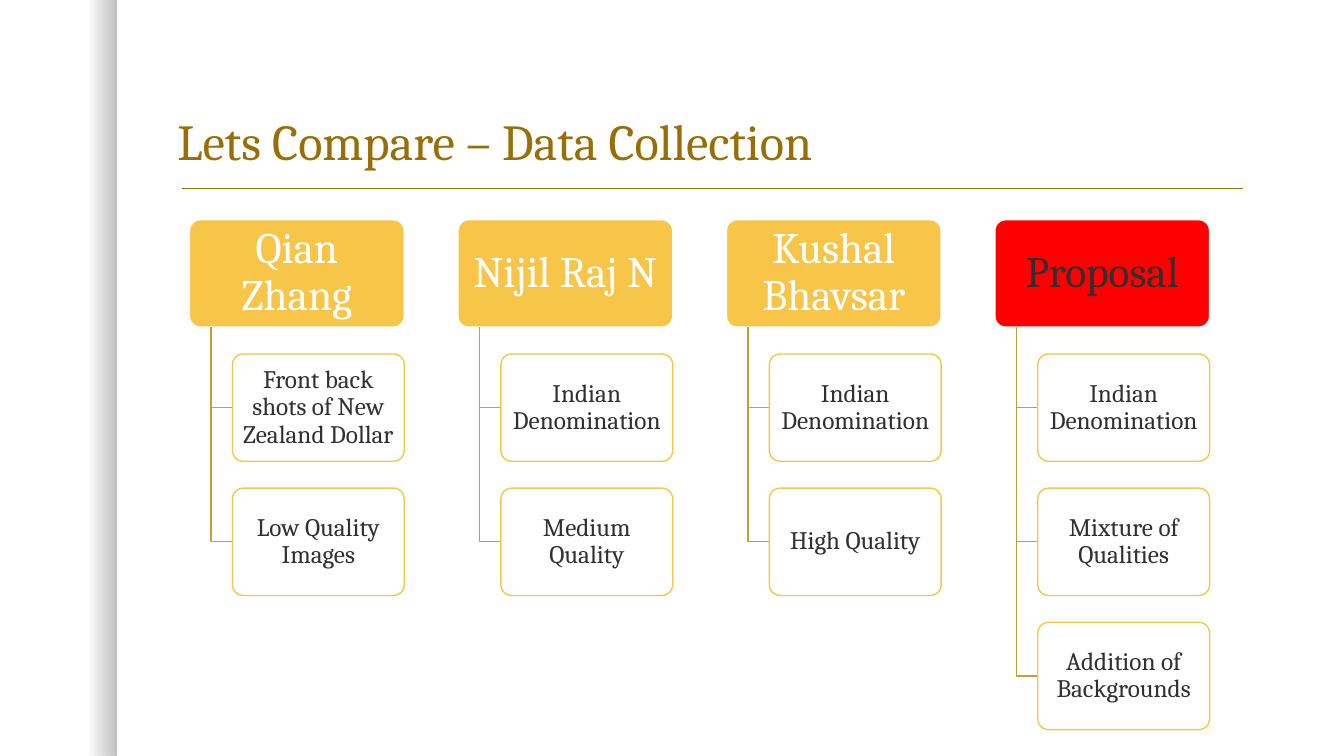
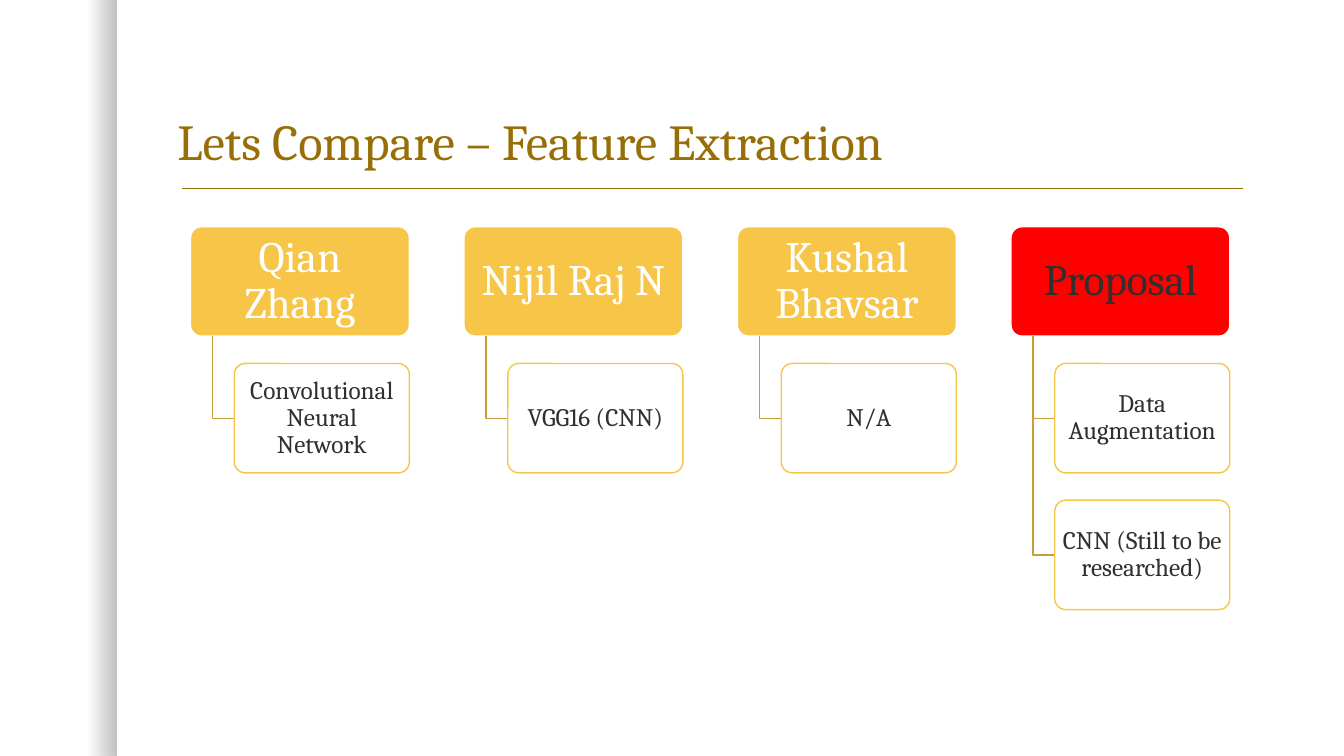
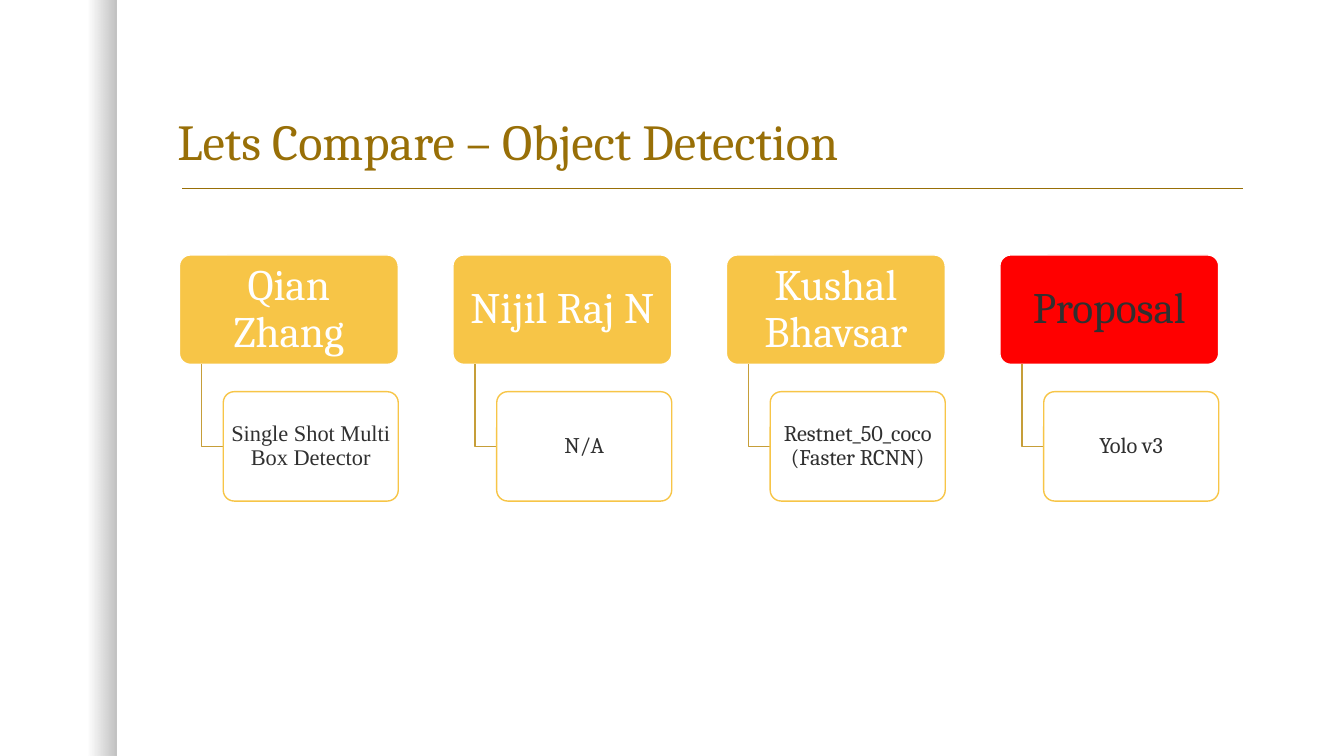
from dataclasses import dataclass

from pptx import Presentation
from pptx.dml.color import RGBColor
from pptx.enum import shapes, text
from pptx.oxml import ns, xmlchemy
from pptx.util import Inches, Pt


@dataclass(frozen=True)
class Theme:
    gold: str = "F7C547"
    dark_gold: str = "986F07"
    branch: str = "C69E39"
    red: str = "FF0000"
    ink: str = "303030"
    white: str = "FFFFFF"
    black: str = "000000"
    font: str = "Cambria"
    title_size: int = 36
    header_size: int = 31
    line_width: int = 1
    leading: float = 0.9


THEME = Theme()
PAGE_W, PAGE_H = 13.33, 7.5
BAND_W = 1.16
TITLE_BOX = (1.66, 0.42, 10.75, 1.33)
RULE_LEFT, RULE_RIGHT, RULE_Y = 1.81, 12.33, 1.87

HEADERS = ["Qian Zhang", "Nijil Raj N", "Kushal Bhavsar", "Proposal"]
ITEM_FONTS = {"Single Shot Multi Box Detector": "Times New Roman"}
SLIDES = [
    dict(title="Lets Compare – Data Collection",
         left=1.88, top=2.18, unit=2.13, size=18, inset=(0.04, 0.03),
         columns=[["Front back shots of New Zealand Dollar", "Low Quality Images"],
                  ["Indian Denomination", "Medium Quality"],
                  ["Indian Denomination", "High Quality"],
                  ["Indian Denomination", "Mixture of Qualities",
                   "Addition of Backgrounds"]]),
    dict(title="Lets Compare – Feature Extraction",
         left=1.89, top=2.25, unit=2.17, size=18, inset=(0.04, 0.03),
         columns=[["Convolutional Neural Network"],
                  ["VGG16 (CNN)"],
                  ["N/A"],
                  ["Data Augmentation", "CNN (Still to be researched)"]]),
    dict(title="Lets Compare – Object Detection",
         left=1.78, top=2.53, unit=2.17, size=16, inset=(0.03, 0.02),
         columns=[["Single Shot Multi Box Detector"],
                  ["N/A"],
                  ["Restnet_50_coco (Faster RCNN)"],
                  ["Yolo v3"]]),
]

# Shares of a header's width
PITCH, BOX_H, ROW_STEP = 1.25, 0.5, 0.625
TRUNK_X, ITEM_X, ITEM_W = 0.1, 0.2, 0.8


def rgb(color):
    return RGBColor.from_string(color)


def set_alpha(color_element, percent):
    alpha = color_element.makeelement(ns.qn("a:alpha"), {"val": str(percent * 1000)})
    color_element.append(alpha)


def set_line(sp, color):
    sp.line.color.rgb = rgb(color)
    sp.line.width = Pt(THEME.line_width)


def write(tf, content, size, color, align, font=THEME.font):
    tf.text = content
    tf.word_wrap = True
    tf.auto_size = text.MSO_AUTO_SIZE.NONE
    p = tf.paragraphs[0]
    p.alignment = align
    p.line_spacing = THEME.leading
    f = p.runs[0].font
    f.name, f.size, f.color.rgb = font, Pt(size), rgb(color)


def add_box(slide, x, y, w, h, fill, line, inset):
    sp = slide.shapes.add_shape(shapes.MSO_SHAPE.ROUNDED_RECTANGLE,
                                *map(Inches, (x, y, w, h)))
    sp.adjustments[0] = 0.1
    sp.shadow.inherit = False
    sp.fill.solid()
    sp.fill.fore_color.rgb = rgb(fill)
    set_line(sp, line)
    tf = sp.text_frame
    tf.vertical_anchor = text.MSO_ANCHOR.MIDDLE
    tf.margin_left = tf.margin_right = Inches(inset[0])
    tf.margin_top = tf.margin_bottom = Inches(inset[1])
    return sp


def add_branch(slide, x, top, bottom, right):
    """Draw an elbow from a header down and across to an item."""
    builder = slide.shapes.build_freeform(Inches(x), Inches(top))
    builder.add_line_segments([(Inches(x), Inches(bottom)),
                               (Inches(right), Inches(bottom))], close=False)
    sp = builder.convert_to_shape()
    sp.shadow.inherit = False
    sp.fill.background()
    set_line(sp, THEME.branch)


def decorate_layout(layout, slide):
    """Place the title, shaded band and rule on the layout; shapes are drawn via slide."""
    title = layout.placeholders[0]
    title.left, title.top, title.width, title.height = map(Inches, TITLE_BOX)

    band = slide.shapes.add_shape(shapes.MSO_SHAPE.RECTANGLE, 0, 0,
                                  Inches(BAND_W), Inches(PAGE_H))
    band.shadow.inherit = False
    band.line.fill.background()
    band.fill.gradient()
    band.fill.gradient_angle = 0
    for stop, position in zip(band.fill.gradient_stops, (0.75, 1)):
        stop.position = position
        stop.color.rgb = rgb(THEME.black)
    stop_colors = band.element.spPr.iter(ns.qn("a:srgbClr"))
    for color_element, percent in zip(list(stop_colors), (0, 25)):
        set_alpha(color_element, percent)

    rule = slide.shapes.add_connector(
        shapes.MSO_CONNECTOR.STRAIGHT,
        *map(Inches, (RULE_LEFT, RULE_Y, RULE_RIGHT, RULE_Y)))
    set_line(rule, THEME.dark_gold)
    sp_pr = rule.element.spPr
    sp_pr.append(sp_pr.makeelement(ns.qn("a:effectLst"), {}))

    for sp in (band, rule):
        layout.shapes.element.append(sp.element)


def add_column(slide, data, index, header, items):
    unit, top = data["unit"], data["top"]
    left = data["left"] + index * PITCH * unit
    height = BOX_H * unit
    proposal = header == "Proposal"
    box = add_box(slide, left, top, unit, height,
                  THEME.red if proposal else THEME.gold, THEME.white, (0.06, 0.04))
    write(box.text_frame, header, THEME.header_size,
          THEME.ink if proposal else THEME.white, text.PP_ALIGN.CENTER)

    item_left = left + ITEM_X * unit
    for row, item in enumerate(items, start=1):
        y = top + row * ROW_STEP * unit
        add_branch(slide, left + TRUNK_X * unit, top + height,
                   y + height / 2, item_left)
        box = add_box(slide, item_left, y, ITEM_W * unit, height,
                      THEME.white, THEME.gold, data["inset"])
        write(box.text_frame, item, data["size"], THEME.ink,
              text.PP_ALIGN.CENTER, ITEM_FONTS.get(item, THEME.font))


def main():
    prs = Presentation()
    prs.slide_width, prs.slide_height = Inches(PAGE_W), Inches(PAGE_H)
    layout = prs.slide_layouts.get_by_name("Title Only")
    for number, data in enumerate(SLIDES):
        slide = prs.slides.add_slide(layout)
        if number == 0:
            decorate_layout(layout, slide)
        title = slide.shapes.title.text_frame
        write(title, data["title"], THEME.title_size, THEME.dark_gold,
              text.PP_ALIGN.LEFT)
        title.vertical_anchor = text.MSO_ANCHOR.BOTTOM
        for index, (header, items) in enumerate(zip(HEADERS, data["columns"])):
            add_column(slide, data, index, header, items)
    prs.save("out.pptx")


if __name__ == "__main__":
    main()
